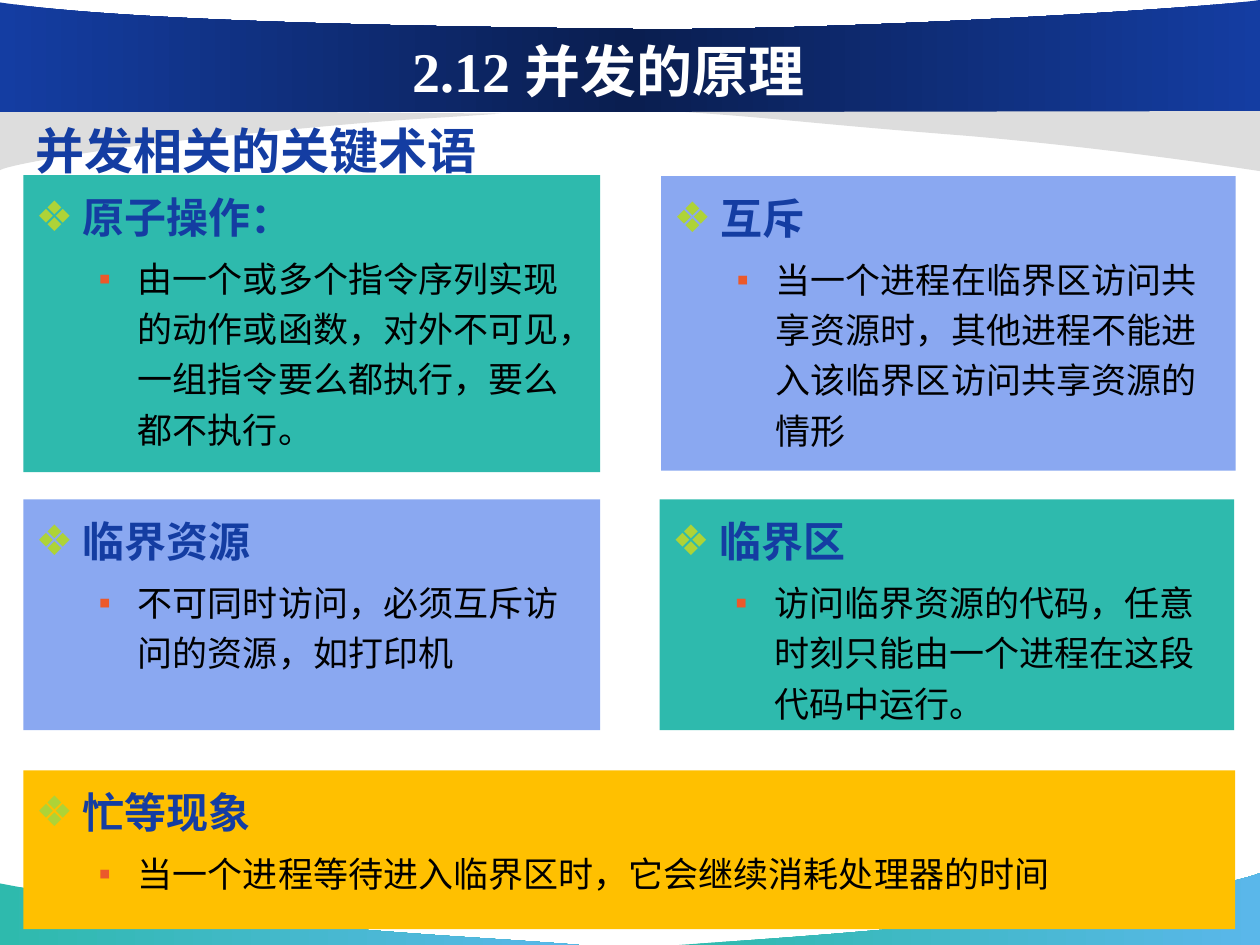
"""Build the slide on key terms of concurrency."""
from lxml import etree
from pptx import Presentation
from pptx import util as u
from pptx.dml import color
from pptx.enum import shapes, text
from pptx.oxml import ns

Cm, Pt = u.Cm, u.Pt
COLORS = {
    "navy": "143DA2", "deep": "0A1E50", "teal": "2EBAAD", "sky": "5AB7EA",
    "gray": "DDDDDD", "blue": "8AA8F1", "gold": "FFC000", "white": "FFFFFF",
    "black": "000000", "lime": "AED337", "orange": "EB592B",
}
LINE_SPACING = 1.2


def add_run(p, content, size, name, bold, font="Arial"):
    """Add one styled run to a paragraph."""
    r = p.add_run()
    r.text = content
    r.font.size = Pt(size)
    r.font.name = font
    r.font.bold = bold
    r.font.color.rgb = color.RGBColor.from_string(COLORS[name])


def set_bullet(p, char, name, margin, hang):
    """Give a paragraph a coloured bullet and a hanging indent."""
    pPr = p._p.get_or_add_pPr()
    pPr.set("marL", str(Cm(margin)))
    pPr.set("indent", str(-Cm(hang)))
    clr = etree.SubElement(pPr, ns.qn("a:buClr"))
    etree.SubElement(clr, ns.qn("a:srgbClr"), val=COLORS[name])
    etree.SubElement(pPr, ns.qn("a:buFont"), typeface="Arial")
    etree.SubElement(pPr, ns.qn("a:buChar"), char=char)


prs = Presentation()
prs.slide_width, prs.slide_height = Cm(25.4), Cm(19.05)
s = prs.slides.add_slide(prs.slide_layouts[6])

waves = [
    (["teal", "sky"], [
        (11.68, 19.05), (9.75, 18.9, 9.09, 18.9, 5.89, 18.62),
        (2.69, 18.36, 0.03, 17.81, 0, 17.81), (0, 19.05)]),
    (["teal", "sky"], [
        (13.69, 19.05), (15.6, 18.92, 16.41, 18.87, 19.53, 18.59),
        (22.66, 18.31, 25.15, 17.73, 25.4, 17.6), (25.4, 19.05)]),
    (["gray"], [
        (10.11, 2.29), (8.41, 2.41, 8.08, 2.39, 5.28, 2.67),
        (2.46, 2.92, 0.23, 3.3, 0, 3.43), (0, 2.21)]),
    (["navy", "deep", "navy"], [
        (0, 2.26), (25.4, 2.26), (25.4, 0),
        (24.49, 0.15, 16.59, 0.66, 12.37, 0.58),
        (8.15, 0.53, 2.57, 0.43, 0, 0.05)]),
    (["gray"], [
        (13.82, 2.26), (15.75, 2.39, 16.31, 2.49, 19.51, 2.74),
        (22.71, 3.02, 25.37, 3.45, 25.4, 3.45), (25.4, 2.24)]),
]
for fills, segments in waves:
    points = [(Cm(seg[i]), Cm(seg[i + 1])) for seg in segments for i in range(0, len(seg), 2)]
    fb = s.shapes.build_freeform(*points[0])
    fb.add_line_segments(points[1:], close=True)
    sp = fb.convert_to_shape()
    lines = iter(sp._element.spPr.findall(".//" + ns.qn("a:lnTo")))
    for seg in segments[1:]:
        line = next(lines)
        if len(seg) == 6:
            line.tag = ns.qn("a:cubicBezTo")
            for extra in (next(lines), next(lines)):
                line.append(extra[0])
                extra.getparent().remove(extra)
    sp.shadow.inherit = False
    sp.line.fill.background()
    if len(fills) == 1:
        sp.fill.solid()
        sp.fill.fore_color.rgb = color.RGBColor.from_string(COLORS[fills[0]])
        continue
    sp.fill.gradient()
    sp.fill.gradient_angle = 0
    stops = sp._element.spPr.find(".//" + ns.qn("a:gsLst"))
    for gs in list(stops):
        stops.remove(gs)
    for i, name in enumerate(fills):
        pos = str(100000 * i // (len(fills) - 1))
        gs = etree.SubElement(stops, ns.qn("a:gs"), pos=pos)
        etree.SubElement(gs, ns.qn("a:srgbClr"), val=COLORS[name])

sp = s.shapes.add_textbox(Cm(2.32), Cm(0.62), Cm(19.89), Cm(1.57))
tf = sp.text_frame
tf.word_wrap = True
tf.vertical_anchor = text.MSO_ANCHOR.MIDDLE
p = tf.paragraphs[0]
p.alignment = text.PP_ALIGN.CENTER
add_run(p, "2.12 并发的原理", 32, "white", True, "Times New Roman")

sp = s.shapes.add_textbox(Cm(0.47), Cm(2.06), Cm(22.86), Cm(1.24))
tf = sp.text_frame
tf.word_wrap = True
p = tf.paragraphs[0]
p.line_spacing = LINE_SPACING
add_run(p, "并发相关的关键术语", 28, "navy", True)

cards = [
    (0.47, 3.53, 11.63, 5.99, "teal", "原子操作：",
     "由一个或多个指令序列实现的动作或函数，对外不可见，一组指令要么都执行，要么都不执行。"),
    (13.3, 10.07, 11.58, 4.65, "teal", "临界区",
     "访问临界资源的代码，任意时刻只能由一个进程在这段代码中运行。"),
    (0.47, 10.07, 11.63, 4.65, "blue", "临界资源",
     "不可同时访问，必须互斥访问的资源，如打印机"),
    (13.33, 3.55, 11.58, 5.94, "blue", "互斥",
     "当一个进程在临界区访问共享资源时，其他进程不能进入该临界区访问共享资源的情形"),
    (0.47, 15.53, 24.43, 3.2, "gold", "忙等现象",
     "当一个进程等待进入临界区时，它会继续消耗处理器的时间"),
]
for x, y, w, h, fill, term, meaning in cards:
    sp = s.shapes.add_shape(shapes.MSO_SHAPE.RECTANGLE, Cm(x), Cm(y), Cm(w), Cm(h))
    sp.shadow.inherit = False
    sp.line.fill.background()
    sp.fill.solid()
    sp.fill.fore_color.rgb = color.RGBColor.from_string(COLORS[fill])
    tf = sp.text_frame
    tf.word_wrap = True
    tf.vertical_anchor = text.MSO_ANCHOR.TOP
    p = tf.paragraphs[0]
    p.alignment = text.PP_ALIGN.LEFT
    p.line_spacing = LINE_SPACING
    set_bullet(p, "❖", "lime", 0.95, 0.95)
    add_run(p, term, 24, "navy", True)
    p = tf.add_paragraph()
    p.level = 1
    p.alignment = text.PP_ALIGN.LEFT
    p.line_spacing = LINE_SPACING
    p.space_before = Pt(4)
    set_bullet(p, "▪", "orange", 2.06, 0.79)
    add_run(p, meaning, 20, "black", False)

prs.save("out.pptx")
